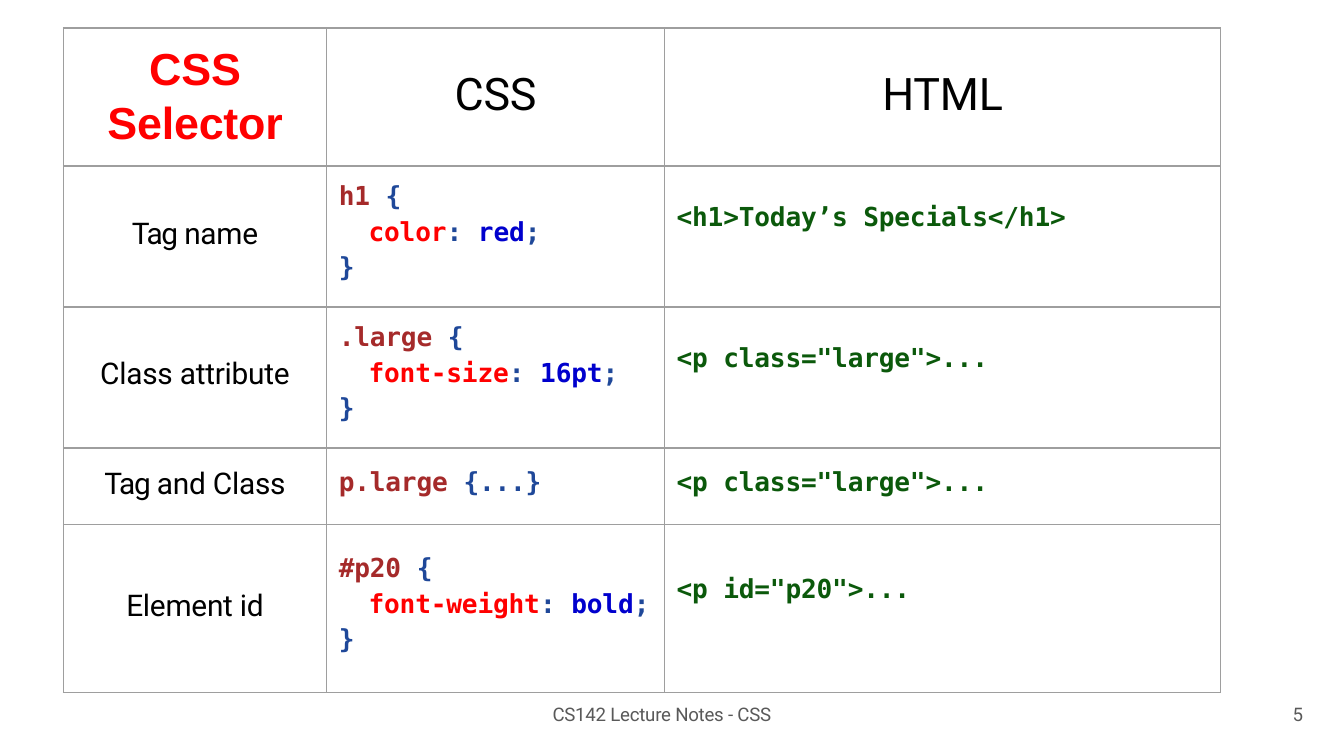
from lxml import etree
from pptx import Presentation
from pptx.dml.color import RGBColor
from pptx.enum.text import PP_ALIGN
from pptx.oxml.ns import qn
from pptx.util import Pt

COLORS = {
    "border": "9E9E9E",
    "footer": "595959",
    "text": "000000",
    "title": "FF0000",
    "selector": "A52A2A",
    "punct": "1F4899",
    "property": "FF0000",
    "value": "0000CD",
    "html": "0B590B",
}
SANS, TITLE, MONO = "Roboto", "Arial", "DejaVu Sans Mono"
TIGHT = -0.1
COL_WIDTHS = [141, 181, 298]
ROW_HEIGHTS = [74, 75.5, 75.5, 41, 90]
CODE_LEFT = 6.5
CODE_INDENT = 16


def rule(selector, prop, value):
    """Three lines of a CSS rule, each a list of runs."""
    return [
        [(selector + " ", "selector"), ("{", "punct")],
        [(prop, "property"), (": ", "punct"), (value, "value"), (";", "punct")],
        [("}", "punct")],
    ]


# Label runs, CSS lines, HTML line, and the top margins of the three cells
ROWS = [
    ([("Tag ", "text", -0.7), ("name", "text")],
     rule("h1", "color", "red"), "<h1>Today’s Specials</h1>", (27, 8, 19.2)),
    ([("Class attribute", "text")],
     rule(".large", "font-size", "16pt"), '<p class="large">...', (27, 8, 19.2)),
    ([("Tag ", "text", -0.7), ("and Class", "text")],
     [[("p.large ", "selector"), ("{...}", "punct")]],
     '<p class="large">...', (10, 10.1, 10.1)),
    ([("Element id", "text")],
     rule("#p20", "font-weight", "bold"), '<p id="p20">...', (34.8, 15.4, 26.6)),
]


def add_runs(p, runs, face, size, bold=False):
    p.font.name, p.font.size, p.font.bold = face, Pt(size), bold
    for text, color, *spacing in runs:
        r = p.add_run()
        r.text = text
        r.font.color.rgb = RGBColor.from_string(COLORS[color])
        r.font._element.set("spc", str(round((spacing or [TIGHT])[0] * 100)))


def set_borders(cell):
    tc_pr = cell._tc.get_or_add_tcPr()
    for i, tag in enumerate(("a:lnL", "a:lnR", "a:lnT", "a:lnB")):
        ln = etree.Element(qn(tag), w=str(Pt(0.75)))
        fill = etree.SubElement(ln, qn("a:solidFill"))
        etree.SubElement(fill, qn("a:srgbClr"), val=COLORS["border"])
        tc_pr.insert(i, ln)


def fill_cell(cell, lines, face, size, top, left=0, bold=False, align=PP_ALIGN.CENTER):
    """Write the lines into the cell and return their paragraphs."""
    cell.margin_left, cell.margin_top = Pt(left), Pt(top)
    cell.margin_right = cell.margin_bottom = 0
    tf = cell.text_frame
    for i, runs in enumerate(lines):
        p = tf.add_paragraph() if i else tf.paragraphs[0]
        p.alignment = align
        add_runs(p, runs, face, size, bold)
    return tf.paragraphs


def fill_code(cell, lines, top):
    paragraphs = fill_cell(cell, lines, MONO, 14, top, CODE_LEFT, True, PP_ALIGN.LEFT)
    for p in paragraphs[1:]:
        p.space_before = Pt(2.7)
    for p in paragraphs[1:-1]:
        p._p.get_or_add_pPr().set("marL", str(Pt(CODE_INDENT)))


def add_selector_table(slide, left, top):
    frame = slide.shapes.add_table(
        len(ROW_HEIGHTS), len(COL_WIDTHS), Pt(left), Pt(top),
        Pt(sum(COL_WIDTHS)), Pt(sum(ROW_HEIGHTS)))
    table = frame.table
    table.first_row = table.horz_banding = False
    for col, width in zip(table.columns, COL_WIDTHS):
        col.width = Pt(width)
    for row, height in zip(table.rows, ROW_HEIGHTS):
        row.height = Pt(height)
    for cell in table.iter_cells():
        cell.fill.background()
        set_borders(cell)

    title = [[(word, "title")] for word in ("CSS", "Selector")]
    for p in fill_cell(table.cell(0, 0), title, TITLE, 24, 7.5, bold=True):
        p.line_spacing = Pt(28.6)
    for col, heading in enumerate(("CSS", "HTML"), 1):
        fill_cell(table.cell(0, col), [[(heading, "text")]], SANS, 24, 21.7)

    for i, (label, css, html, tops) in enumerate(ROWS, 1):
        fill_cell(table.cell(i, 0), [label], SANS, 16, tops[0])
        fill_code(table.cell(i, 1), css, tops[1])
        fill_code(table.cell(i, 2), [[(html, "html")]], tops[2])


def add_footer(slide, left, top, width, height, text):
    tf = slide.shapes.add_textbox(Pt(left), Pt(top), Pt(width), Pt(height)).text_frame
    tf.word_wrap = True
    tf.margin_left = tf.margin_top = tf.margin_right = tf.margin_bottom = 0
    add_runs(tf.paragraphs[0], [(text, "footer")], SANS, 10)


def main():
    prs = Presentation()
    prs.slide_width, prs.slide_height = Pt(720), Pt(405)
    slide = prs.slides.add_slide(prs.slide_layouts[6])
    add_selector_table(slide, 34, 15)
    add_footer(slide, 296, 376.5, 126, 13, "CS142 Lecture Notes - CSS")
    add_footer(slide, 692.5, 376.5, 15, 13, "5")
    prs.save("out.pptx")


if __name__ == "__main__":
    main()
